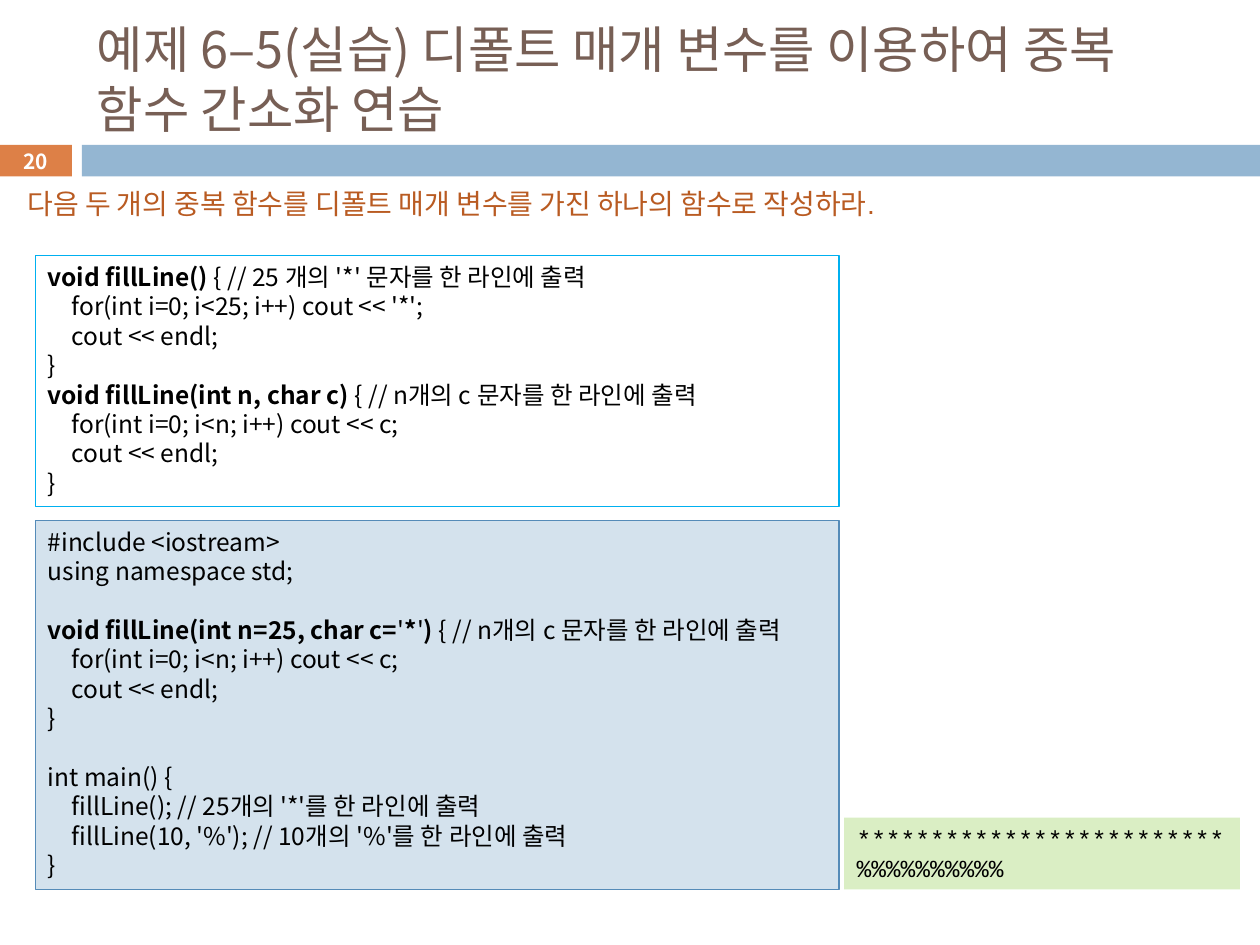
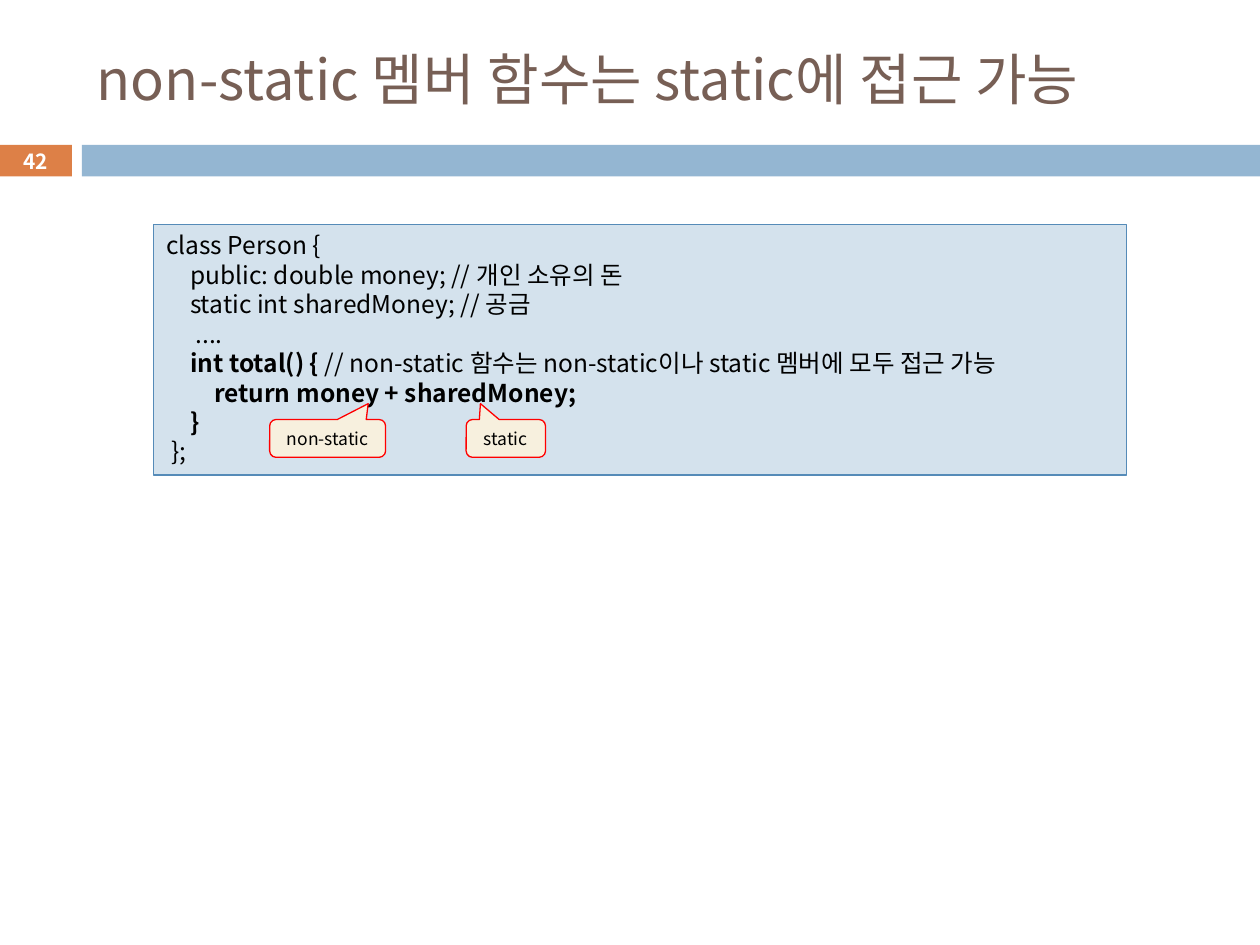
from lxml.etree import SubElement
from pptx import Presentation
from pptx.dml.color import RGBColor
from pptx.enum.shapes import MSO_SHAPE
from pptx.enum.text import MSO_ANCHOR, PP_ALIGN
from pptx.oxml.ns import qn
from pptx.util import Inches, Pt

COLORS = {
    "title": "775F55", "task": "B95B22", "black": "000000", "white": "FFFFFF",
    "number_band": "DD8047", "band": "94B6D2",
    "code_fill": "D4E2ED", "code_line": "558BB8", "given_line": "00B0F0",
    "output_fill": "DAEEC4", "callout_fill": "F7F0DE", "callout_line": "FF0000",
}
FONT = "Noto Sans CJK KR"
LINE_HEIGHT = 1.2
CODE_SIZE = 14
CODE_INDENT = Inches(0.19)

# Backticks enclose bold spans; each leading tab is one indent level.
GIVEN_FUNCTIONS = """\
`void fillLine() `{ // 25 개의 '*' 문자를 한 라인에 출력
\tfor(int i=0; i<25; i++) cout << '*';
\tcout << endl;
}
`void fillLine(int n, char c) `{ // n개의 c 문자를 한 라인에 출력
\tfor(int i=0; i<n; i++) cout << c;
\tcout << endl;
}"""

MERGED_FUNCTION = """\
#include <iostream>
using namespace std;

`void fillLine(int n=25, char c=`'`*`'`) `{ // n개의 c 문자를 한 라인에 출력
\tfor(int i=0; i<n; i++) cout << c;
\tcout << endl;
}

int main() {
\tfillLine(); // 25개의 '*'를 한 라인에 출력
\tfillLine(10, '%'); // 10개의 '%'를 한 라인에 출력
}"""

PERSON_CLASS = """\
class Person {
\tpublic: double money; // 개인 소유의 돈
\tstatic int sharedMoney; // 공금
\t ....
\t`int total() { `// non-static 함수는 non-static이나 static 멤버에 모두 접근 가능
\t\t`return money + sharedMoney;`
\t`}`
 };"""


def rgb(name):
    return RGBColor.from_string(COLORS[name])


def style_paragraph(paragraph, size, color, font, align):
    paragraph.alignment = align
    paragraph.line_spacing = Pt(size * LINE_HEIGHT)
    paragraph.font.size = Pt(size)
    paragraph.font.color.rgb = rgb(color)
    paragraph.font.name = font
    defaults = paragraph._p.get_or_add_pPr().find(qn("a:defRPr"))
    SubElement(defaults, qn("a:ea")).set("typeface", FONT)


def write_text(box, text, size, color="black", font=FONT,
               align=PP_ALIGN.LEFT, anchor=MSO_ANCHOR.MIDDLE):
    """Write lines of marked-up text; an empty line becomes space before the next."""
    frame = box.text_frame
    frame.word_wrap = True
    frame.vertical_anchor = anchor
    paragraph, gap = None, 0
    for line in text.split("\n"):
        if not line:
            gap += size * LINE_HEIGHT
            continue
        paragraph = frame.add_paragraph() if paragraph else frame.paragraphs[0]
        style_paragraph(paragraph, size, color, font, align)
        paragraph.space_before = Pt(gap)
        gap = 0
        content = line.lstrip("\t")
        level = len(line) - len(content)
        if level:
            paragraph._p.get_or_add_pPr().set("marL", str(level * CODE_INDENT))
        for index, part in enumerate(content.split("`")):
            if part:
                span = paragraph.add_run()
                span.text = part
                span.font.bold = index % 2 == 1


def add_box(page, place, fill=None, line=None, kind=MSO_SHAPE.RECTANGLE):
    box = page.shapes.add_shape(kind, *map(Inches, place))
    box.shadow.inherit = False
    if fill:
        box.fill.solid()
        box.fill.fore_color.rgb = rgb(fill)
    else:
        box.fill.background()
    if line:
        box.line.color.rgb = rgb(line)
        box.line.width = Pt(0.75)
    else:
        box.line.fill.background()
    return box


def add_label(page, place, text, size, color):
    box = page.shapes.add_textbox(*map(Inches, place))
    write_text(box, text, size, color)
    return box


def add_code(page, place, code, fill="code_fill", line="code_line", font=FONT):
    box = add_box(page, place, fill, line)
    write_text(box, code, CODE_SIZE, font=font, anchor=MSO_ANCHOR.TOP)


def add_callout(page, left, width, tip_x, text):
    box = add_box(page, (left, 3.33, width, 0.3), "callout_fill", "callout_line",
                  MSO_SHAPE.ROUNDED_RECTANGULAR_CALLOUT)
    for index, value in enumerate((tip_x, -0.92, 0.17)):
        box.adjustments[index] = value
    write_text(box, text, 10, align=PP_ALIGN.CENTER)


def add_page(deck, title, title_size, number):
    page = deck.slides.add_slide(deck.slide_layouts[6])
    number_band = add_box(page, (-0.01, 1.15, 0.58, 0.25), "number_band")
    write_text(number_band, f"`{number}`", 11.9, "white", align=PP_ALIGN.CENTER)
    add_box(page, (0.65, 1.15, 9.35, 0.25), "band")
    add_label(page, (0.67, 0.25, 8.92, 0.74), title, title_size, "title")
    return page


def add_default_parameter_page(deck):
    page = add_page(
        deck, "예제 6–5(실습) 디폴트 매개 변수를 이용하여 중복 함수 간소화 연습", 28.8, 20)
    task = add_label(
        page, (0.12, 1.43, 9.37, 0.37),
        "다음 두 개의 중복 함수를 디폴트 매개 변수를 가진 하나의 함수로 작성하라.", 16, "task")
    task.text_frame.paragraphs[0].font.name = "Arial"
    add_code(page, (0.28, 2.03, 6.38, 1.99), GIVEN_FUNCTIONS, None, "given_line")
    add_code(page, (0.28, 4.13, 6.38, 2.93), MERGED_FUNCTION)
    add_code(page, (6.7, 6.49, 3.14, 0.57), "*" * 25 + "\n" + "%" * 10,
             "output_fill", None, "Courier New")


def add_static_access_page(deck):
    page = add_page(deck, "non-static 멤버 함수는 static에 접근 가능", 32, 42)
    add_code(page, (1.22, 1.78, 7.72, 1.99), PERSON_CLASS)
    add_callout(page, 2.14, 0.92, 0.35, "non-static")
    add_callout(page, 3.7, 0.63, -0.32, "static")


def main():
    deck = Presentation()
    deck.slide_width, deck.slide_height = Inches(10), Inches(7.5)
    add_default_parameter_page(deck)
    add_static_access_page(deck)
    deck.save("out.pptx")


if __name__ == "__main__":
    main()
